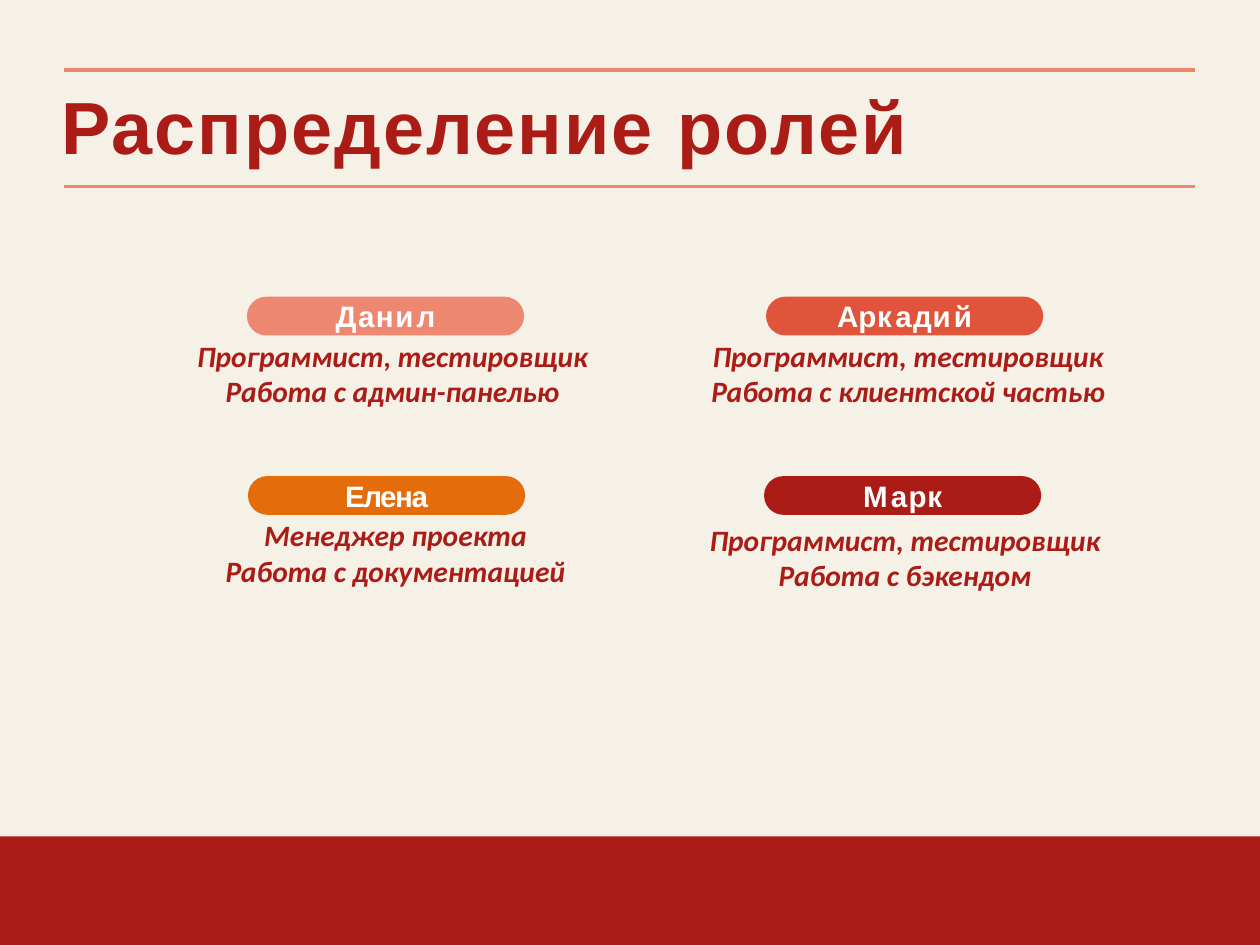
from pptx import Presentation
from pptx.dml.color import RGBColor
from pptx.enum.shapes import MSO_CONNECTOR, MSO_SHAPE
from pptx.enum.text import MSO_ANCHOR, MSO_AUTO_SIZE, PP_ALIGN
from pptx.oxml.ns import qn
from pptx.util import Inches, Pt
from lxml import etree

RECT, PILL = MSO_SHAPE.RECTANGLE, MSO_SHAPE.ROUNDED_RECTANGLE
LINE = MSO_CONNECTOR.STRAIGHT
LEFT, CENTER = PP_ALIGN.LEFT, PP_ALIGN.CENTER
MIDDLE = MSO_ANCHOR.MIDDLE
GROW = MSO_AUTO_SIZE.SHAPE_TO_FIT_TEXT

CREAM = RGBColor(0xF6, 0xF1, 0xE7)
RED = RGBColor(0xAC, 0x1C, 0x17)
CORAL = RGBColor(0xED, 0x87, 0x6F)
BRICK = RGBColor(0xDF, 0x54, 0x3B)
ORANGE = RGBColor(0xE4, 0x6C, 0x0A)
WHITE = RGBColor(0xFF, 0xFF, 0xFF)

WIDTH, HEIGHT = Inches(10.67), Inches(8)


class Deck:
    """Style and current slide; lengths are percent of the slide's size."""

    head, body = "Arial", "Calibri"

    def __init__(self, slide):
        self.slide = slide
        fill = slide.background.fill
        fill.solid()
        fill.fore_color.rgb = CREAM

    def area(self, x, y, w, h):
        return (round(WIDTH * x / 100), round(HEIGHT * y / 100),
                round(WIDTH * w / 100), round(HEIGHT * h / 100))

    def letter(self, para, runs, face, size, color, align, italic=False):
        """Fill a paragraph from (text, letter spacing in points) pairs."""
        para.alignment = align
        for text, gap in runs:
            run = para.add_run()
            run.text = text
            if gap:
                run.font._element.set("spc", str(round(gap * 100)))
        font = para.font
        font.name, font.size, font.color.rgb = face, Pt(size), color
        font.bold, font.italic = True, italic

    def shape(self, kind, x, y, w, h, color):
        item = self.slide.shapes.add_shape(kind, *self.area(x, y, w, h))
        item.shadow.inherit = False
        item.fill.solid()
        item.fill.fore_color.rgb = color
        item.line.fill.background()
        return item

    def rule(self, x, y, w):
        left, top, wide, _ = self.area(x, y, w, 0)
        item = self.slide.shapes.add_connector(LINE, left, top, left + wide, top)
        item.line.color.rgb = CORAL
        item.line.width = Pt(2.25)
        etree.SubElement(item._element.spPr, qn("a:effectLst"))

    def title(self, x, y, w, h, text):
        frame = self.slide.shapes.add_textbox(*self.area(x, y, w, h)).text_frame
        frame.word_wrap = True
        frame.margin_left = frame.margin_right = frame.margin_bottom = 0
        frame.margin_top = Inches(0.02)
        para = frame.paragraphs[0]
        para.line_spacing = 0.9
        self.letter(para, [(text, 1.3)], self.head, 45, RED, LEFT)

    def badge(self, x, y, color, name):
        item = self.shape(PILL, x, y, 22, 4.1, color)
        item.adjustments[0] = 0.5
        frame = item.text_frame
        frame.margin_left = frame.margin_right = 0
        frame.margin_top = frame.margin_bottom = 0
        frame.vertical_anchor = MIDDLE
        self.letter(frame.paragraphs[0], name, self.head, 18, WHITE, CENTER)

    def duty(self, x, y, w, lines):
        frame = self.slide.shapes.add_textbox(*self.area(x, y, w, 8.88)).text_frame
        frame.word_wrap = False
        frame.auto_size = GROW
        for i, text in enumerate(lines):
            para = frame.add_paragraph() if i else frame.paragraphs[0]
            self.letter(para, [(text, 0)], self.body, 18, RED, CENTER, True)


CODER = "Программист, тестировщик"

# Badge place, colour and name, then duty place and lines
TEAM = [
    ((19.6, 31.4), CORAL,
     [("Д", 0.9), ("а", 0.8), ("н", 1.1), ("и", 1.9), ("л", 0.2)],
     (14.71, 35.12, 32.9), [CODER, "Работа с админ-панелью"]),
    ((60.8, 31.4), BRICK,
     [("А", -0.6), ("р", 0.4), ("к", 2.1), ("а", 0.8), ("д", 0.6), ("ий", 1.9)],
     (55.3, 35.12, 33.55), [CODER, "Работа с клиентской частью"]),
    ((19.68, 50.38), ORANGE, [("Елена", -0.9)],
     (16.49, 54.12, 29.8), ["Менеджер проекта", "Работа с документацией"]),
    ((60.64, 50.38), RED,
     [("М", 2), ("а", 0.8), ("р", 0.4), ("к", 2.2)],
     (54.73, 54.62, 34.21), [CODER, "Работа с бэкендом"]),
]


def main():
    show = Presentation()
    show.slide_width, show.slide_height = WIDTH, HEIGHT
    deck = Deck(show.slides.add_slide(show.slide_layouts[6]))

    # Footer band
    deck.shape(RECT, 0, 88.5, 100, 11.5, RED)

    # Title between two rules
    for y in (7.4, 19.75):
        deck.rule(5.06, y, 89.8)
    deck.title(4.87, 9.3, 89.8, 8.75, "Распределение ролей")

    # Team members
    for spot, color, name, place, lines in TEAM:
        deck.badge(*spot, color, name)
        deck.duty(*place, lines)

    show.save("out.pptx")


if __name__ == "__main__":
    main()
